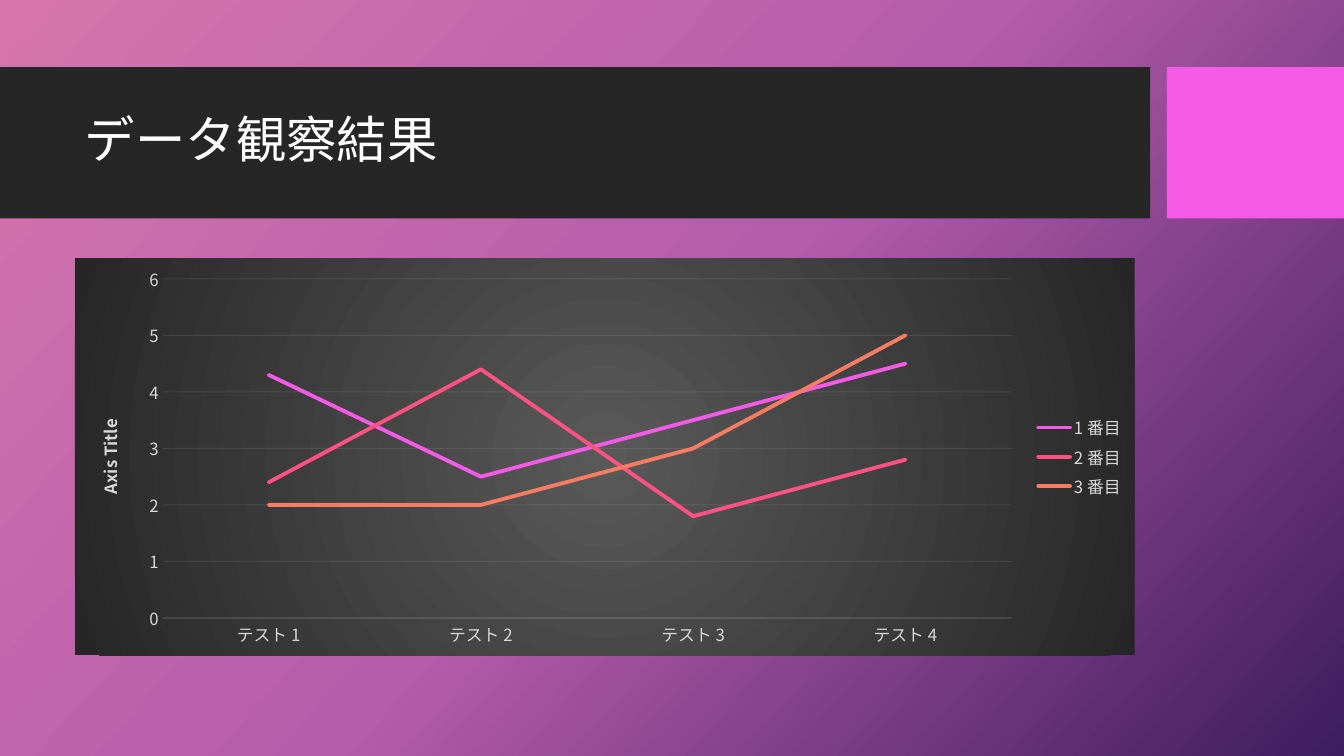
from lxml import etree
from pptx import Presentation, oxml
from pptx.chart import data
from pptx.dml import color
from pptx.enum import chart as kinds, shapes, text
from pptx.oxml import ns
from pptx.util import Pt

FONT = "Noto Sans CJK JP"
WHITE, PALE, GRID, DARK, PINK = "FFFFFF", "D9D9D9", "F2F2F2", "262626", "F35AE6"
TESTS = [f"テスト {n}" for n in range(1, 5)]
ROUNDS = [
    ("1 番目", PINK, (4.3, 2.5, 3.5, 4.5)),
    ("2 番目", "FC5283", (2.4, 4.4, 1.8, 2.8)),
    ("3 番目", "F67C64", (2, 2, 3, 5)),
]


def rgb(code):
    """Turn a hex string into a colour."""
    return color.RGBColor.from_string(code)


def style(font, size, code, bold=False):
    """Set face, size, colour and weight of a font."""
    font.name, font.size, font.bold = FONT, Pt(size), bold
    font.color.rgb = rgb(code)


def asian(root):
    """Use the same face for Japanese characters as for Latin ones."""
    for latin in root.xpath(".//a:latin"):
        east = etree.Element(ns.qn("a:ea"), typeface=FONT)
        latin.addnext(east)


def blend(stops, shade):
    """Make a gradient fill from (percent, colour) stops and a shade tag."""
    marks = "".join(
        f'<a:gs pos="{pos * 1000}"><a:srgbClr val="{code}"/></a:gs>'
        for pos, code in stops
    )
    return oxml.parse_xml(
        f'<a:gradFill {ns.nsdecls("a")} rotWithShape="1">'
        f"<a:gsLst>{marks}</a:gsLst>{shade}</a:gradFill>"
    )


def paint(slide):
    """Fill the background with a diagonal gradient."""
    slide.background.fill.solid()
    old = slide.element.xpath("p:cSld/p:bg/p:bgPr/a:solidFill")[0]
    stops = [(0, "D774AD"), (50, "B55CAB"), (100, "3E1C5F")]
    shade = f'<a:lin ang="{42 * 60000}" scaled="0"/>'
    old.getparent().replace(old, blend(stops, shade))


def band(slide, left, width, code):
    """Draw one plain block of the title band."""
    box = slide.shapes.add_shape(
        shapes.MSO_SHAPE.RECTANGLE, Pt(left), Pt(48), Pt(width), Pt(108))
    box.shadow.inherit = False
    box.fill.solid()
    box.fill.fore_color.rgb = rgb(code)
    box.line.fill.background()


def head(slide, words):
    """Place the title in front of the band."""
    title = slide.shapes.title
    title.left, title.top = Pt(53.5), Pt(59)
    title.width, title.height = Pt(757), Pt(85)
    frame = title.text_frame
    frame.word_wrap = True
    frame.auto_size = text.MSO_AUTO_SIZE.NONE
    frame.vertical_anchor = text.MSO_ANCHOR.MIDDLE
    para = frame.paragraphs[0]
    para.alignment, para.line_spacing = text.PP_ALIGN.LEFT, 0.9
    run = para.add_run()
    run.text = words
    style(run.font, 36, WHITE)
    asian(title.element)
    slide.shapes.element.append(title.element)


def stroke(line, code, width):
    """Set colour and width of a line."""
    line.color.rgb = rgb(code)
    line.width = Pt(width)


def axes(chart):
    """Format both axes, the grid and the axis title."""
    cat, val = chart.category_axis, chart.value_axis
    for axis in (cat, val):
        axis.major_tick_mark = axis.minor_tick_mark = kinds.XL_TICK_MARK.NONE
        style(axis.tick_labels.font, 12, PALE)
    stroke(cat.format.line, GRID, 0.75)
    val.format.line.fill.background()
    val.minimum_scale, val.maximum_scale, val.major_unit = 0, 6, 1
    val.has_major_gridlines = True
    stroke(val.major_gridlines.format.line, GRID, 0.75)
    run = val.axis_title.text_frame.paragraphs[0].add_run()
    run.text = "Axis Title"
    style(run.font, 12, PALE, True)
    faint = ".//c:catAx/c:spPr//a:srgbClr | .//c:majorGridlines//a:srgbClr"
    for tint in chart.element.xpath(faint):
        etree.SubElement(tint, ns.qn("a:alpha"), val="10000")


def plot(slide):
    """Add the line chart of the test results."""
    table = data.CategoryChartData()
    table.categories = TESTS
    for name, _, vals in ROUNDS:
        table.add_series(name, vals)
    chart = slide.shapes.add_chart(
        kinds.XL_CHART_TYPE.LINE, Pt(53.5), Pt(184.5), Pt(757), Pt(283.5),
        table).chart
    chart.has_title = False
    style(chart.font, 10, WHITE)
    chart.plots[0].vary_by_categories = False
    for series, (_, code, _) in zip(chart.plots[0].series, ROUNDS):
        series.smooth = False
        series.marker.style = kinds.XL_MARKER_STYLE.NONE
        stroke(series.format.line, code, 2.75)
    for line in chart.element.xpath(".//c:ser/c:spPr/a:ln"):
        line.set("cap", "rnd")
    axes(chart)
    chart.has_legend = True
    chart.legend.position = kinds.XL_LEGEND_POSITION.RIGHT
    chart.legend.include_in_layout = False
    style(chart.legend.font, 12, PALE)
    asian(chart.element)
    glow(chart)


def glow(chart):
    """Fill the chart area with a round gradient and no outline."""
    area = etree.Element(ns.qn("c:spPr"))
    shade = ('<a:path path="circle"><a:fillToRect l="50000" t="50000" '
             'r="50000" b="50000"/></a:path>')
    area.append(blend([(0, "595959"), (100, DARK)], shade))
    line = etree.SubElement(area, ns.qn("a:ln"))
    etree.SubElement(line, ns.qn("a:noFill"))
    chart.element.xpath("c:chart")[0].addnext(area)


def main():
    """Build the slide and save it."""
    deck = Presentation()
    deck.slide_width, deck.slide_height = Pt(960), Pt(540)
    slide = deck.slides.add_slide(deck.slide_layouts[5])
    paint(slide)
    band(slide, 0, 821.5, DARK)
    band(slide, 833.5, 126.5, PINK)
    head(slide, "データ観察結果")
    plot(slide)
    deck.save("out.pptx")


main()
